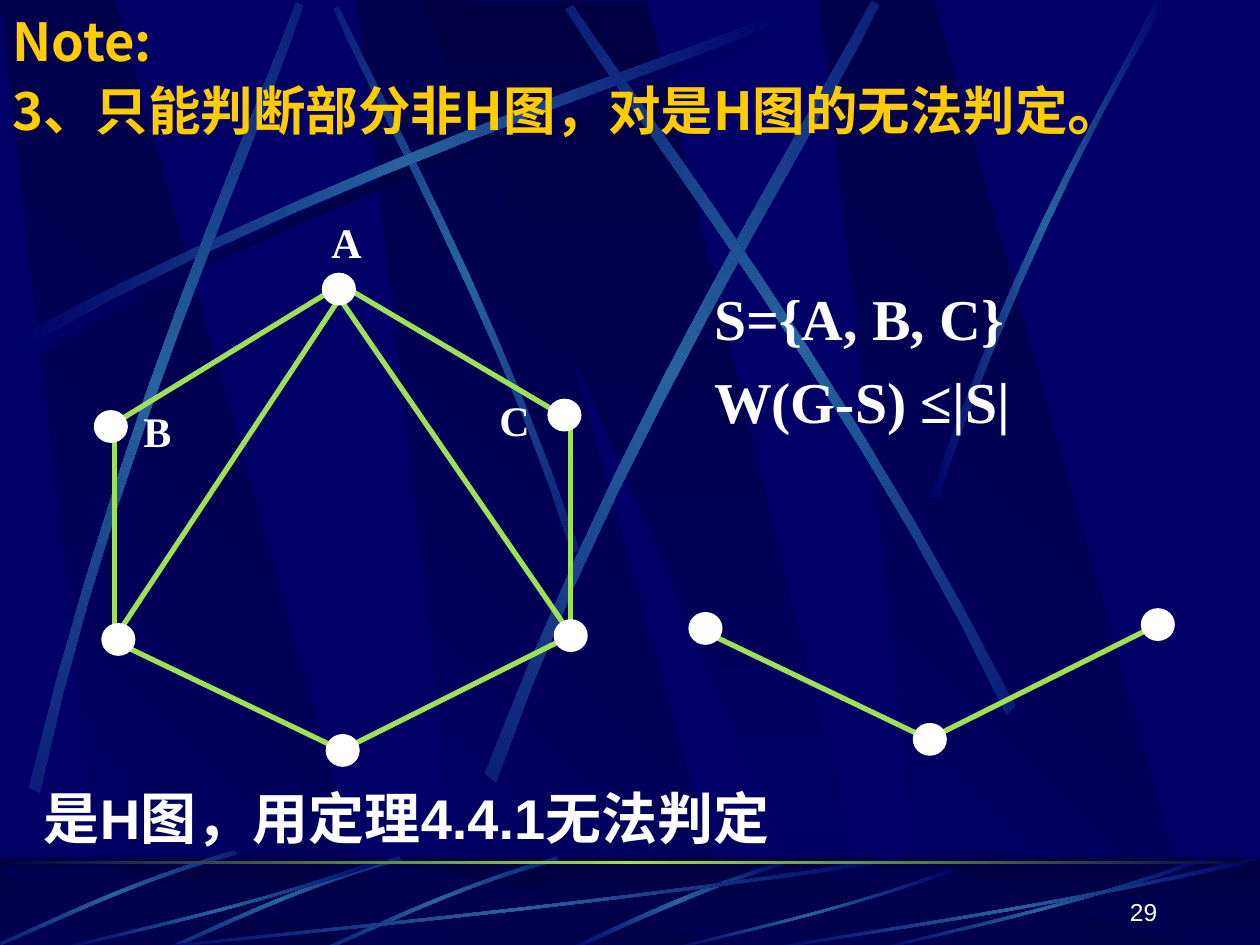
import math

import pptx
import pptx.dml.color
import pptx.enum.shapes
import pptx.enum.text
import pptx.oxml
import pptx.oxml.ns
import pptx.util
from lxml import etree

Pt = pptx.util.Pt
qn = pptx.oxml.ns.qn
SHAPE = pptx.enum.shapes.MSO_SHAPE
ALIGN = pptx.enum.text.PP_ALIGN
ANCHOR = pptx.enum.text.MSO_ANCHOR

NAVY, DARK, STREAK = "000066", "000044", "2663A0"
GREEN, WHITE, GOLD = "9CE157", "FFFFFF", "FFCC00"
SANS, SERIF, CHINESE = "Arial", "Times New Roman", "Noto Sans CJK SC"
GLOW = (NAVY, STREAK, NAVY)


def color(value):
    return pptx.dml.color.RGBColor.from_string(value)


def bezier(start, first, second, end, steps=10):
    points = []
    for step in range(steps + 1):
        t = step / steps
        weights = ((1 - t) ** 3, 3 * t * (1 - t) ** 2, 3 * t * t * (1 - t), t ** 3)
        points.append(tuple(sum(w * p[axis] for w, p in zip(weights, (start, first, second, end)))
                            for axis in (0, 1)))
    return points


def turn(point, center, degrees):
    angle = math.radians(degrees)
    x, y = point[0] - center[0], point[1] - center[1]
    return (center[0] + x * math.cos(angle) - y * math.sin(angle),
            center[1] + x * math.sin(angle) + y * math.cos(angle))


def shift(points, dx, dy):
    return [(x + dx, y + dy) for x, y in points]


class Painter:
    def __init__(self, page):
        self.page = page
        self.shapes = page.shapes

    def gradient(self, shape, colors, angle):
        shape.fill.background()
        old = shape._element.spPr.find(qn("a:noFill"))
        fill = etree.Element(qn("a:gradFill"), rotWithShape="1")
        stops = etree.SubElement(fill, qn("a:gsLst"))
        for index, value in enumerate(colors):
            stop = etree.SubElement(stops, qn("a:gs"), pos=str(100000 * index // (len(colors) - 1)))
            etree.SubElement(stop, qn("a:srgbClr"), val=value)
        etree.SubElement(fill, qn("a:lin"), ang=str(angle * 60000), scaled="0")
        old.getparent().replace(old, fill)

    def polygon(self, points, colors, angle=0):
        points = [(Pt(x), Pt(y)) for x, y in points]
        builder = self.shapes.build_freeform(*points[0], scale=1.0)
        builder.add_line_segments(points[1:], close=True)
        shape = builder.convert_to_shape()
        shape.shadow.inherit = False
        shape.line.fill.background()
        self.gradient(shape, colors, angle)
        return shape

    def streak(self, points, colors=GLOW, rotation=0, center=(0, 0)):
        """Draw the band between two curves, each given by four control points."""
        points = [turn(point, center, -rotation) for point in points]
        shape = self.polygon(bezier(*points[:4]) + bezier(*points[4:]), colors)
        shape.rotation = rotation

    def shape(self, kind, left, top, width, height):
        shape = self.shapes.add_shape(kind, Pt(left), Pt(top), Pt(width), Pt(height))
        shape.shadow.inherit = False
        shape.line.fill.background()
        return shape

    def band(self, top, height, colors, angle):
        self.gradient(self.shape(SHAPE.RECTANGLE, 0, top, 720, height), colors, angle)

    def veil(self, top, height, value, opacity):
        shape = self.shape(SHAPE.RECTANGLE, 0, top, 720, height)
        shape.fill.solid()
        shape.fill.fore_color.rgb = color(value)
        tint = shape._element.spPr.find(qn("a:solidFill"))[0]
        etree.SubElement(tint, qn("a:alpha"), val=str(opacity * 1000))

    def node(self, left, top):
        shape = self.shape(SHAPE.OVAL, left, top, 18.7, 18)
        shape.fill.solid()
        shape.fill.fore_color.rgb = color(WHITE)
        shape.line.color.rgb = color(WHITE)
        shape.line.width = Pt(0.75)

    def edge(self, start, end):
        line = self.shapes.add_connector(pptx.enum.shapes.MSO_CONNECTOR.STRAIGHT,
                                         Pt(start[0]), Pt(start[1]), Pt(end[0]), Pt(end[1]))
        line.line.color.rgb = color(GREEN)
        line.line.width = Pt(3)
        etree.SubElement(line._element.spPr, qn("a:effectLst"))

    def graph(self, edges, nodes, dx=0, dy=0):
        for ends in edges:
            self.edge(*shift(ends, dx, dy))
        for corner in shift(nodes, dx, dy):
            self.node(*corner)

    def text(self, left, top, width, height, paragraphs, ink=WHITE, bold=True,
             align=ALIGN.LEFT, anchor=ANCHOR.TOP, spacing=None):
        """Each paragraph is a list of (text, size, font) runs; None is a line break."""
        box = self.shapes.add_textbox(Pt(left), Pt(top), Pt(width), Pt(height))
        frame = box.text_frame
        frame.word_wrap = True
        frame.vertical_anchor = anchor
        for index, runs in enumerate(paragraphs):
            para = frame.add_paragraph() if index else frame.paragraphs[0]
            para.alignment = align
            para.line_spacing = spacing
            for run in runs:
                if run is None:
                    para.add_line_break()
                    continue
                span = para.add_run()
                span.text, size, font = run
                span.font.size = Pt(size)
                span.font.name = font
                span.font.bold = bold
                span.font.color.rgb = color(ink)
                etree.SubElement(span._r.get_or_add_rPr(), qn("a:ea"), typeface=CHINESE)


def draw_beams(painter, top, bottom):
    for left in (204, 0, 468):
        painter.polygon([(left + 62, bottom), (left + 217.4, bottom), (left + 65.5, top),
                         (left, top)], (NAVY, DARK), 315)
    painter.polygon([(240, top), (473.8, bottom), (499.7, bottom), (369.4, top)], (DARK, NAVY), 90)


def draw_backdrop(painter):
    # Upper beams and streaks
    draw_beams(painter, 0.5, 541)
    arc = [(14.4, 198), (204.5, 96.5), (377.3, 42.5), (450.7, 13),
           (452.9, 17.3), (380.2, 49.7), (182.9, 108.7), (16.6, 205.2)]
    painter.streak(arc, (NAVY, DARK, NAVY))
    painter.streak([(331.2, 313.9), (281.5, 168.5), (217.4, 55.4), (193.7, 3.6),
                    (190.8, 5), (212.4, 56.9), (286.6, 185.8), (326.9, 316.1)],
                   rotation=45, center=(260.6, 160.2))
    painter.streak(shift(arc, -4.3, -5.8))
    painter.streak([(16.6, 450), (67, 240.5), (141.8, 75.6), (169.2, 1.4),
                    (173.5, 2.9), (149, 78.5), (61.9, 265), (23, 452.9)],
                   rotation=311.7, center=(95.8, 227.2))
    painter.streak([(277.2, 442.1), (358.6, 230.4), (459.4, 73.4), (498.2, 0.7),
                    (502.6, 2.9), (467.3, 77.8), (349.9, 255.6), (283.7, 447.1)],
                   rotation=321.6, center=(391, 223.6))
    painter.streak([(580.3, 403.2), (482.4, 211), (371.5, 68.4), (327.6, 2.9),
                    (323.3, 5), (365, 72.7), (493.2, 234), (575.3, 408.2)],
                   rotation=34.7, center=(451.4, 205.6))
    painter.streak([(531.4, 283.7), (586.1, 124.6), (639.4, 47.5), (660.2, 0),
                    (667.4, 0), (601.9, 104.4), (553.7, 231.8), (535.7, 285.8)])

    # Floor
    painter.band(489.6, 54, (DARK, NAVY), 90)
    draw_beams(painter, 495.4, 543.3)
    painter.veil(489.6, 54, DARK, 50)
    painter.streak([(451.4, 491), (386.6, 510.5), (343.4, 534.2), (322.6, 542.9),
                    (326.2, 543.6), (352.8, 531.4), (411.1, 504), (452.2, 493.2)])
    ripple = [(318.2, 489.6), (255.6, 507.6), (206.6, 532.8), (184.3, 542.2),
              (185, 543.6), (207.4, 535), (262.8, 506.2), (319.7, 491.8)]
    for dx, dy in ((0, 0), (-90, 0), (-184, -3.5)):
        painter.streak(shift(ripple, dx, dy), rotation=315, center=(252 + dx, 516.6 + dy))
    sweep = [(1, 0.04), (0.57, 0.57), (0.17, 0.85), (0.01, 1),
             (0, 0.99), (0.17, 0.81), (0.62, 0.51), (0.99, 0)]
    for left, top, width in ((72, 489.6, 444), (30, 489.6, 192), (379.4, 496, 166.3),
                             (498, 489.6, 192), (432, 489.6, 288)):
        painter.streak([(left + x * width, top + y * (543.6 - top)) for x, y in sweep])
    painter.band(492.3, 1.7, (DARK, GREEN, DARK), 0)


def main():
    deck = pptx.Presentation()
    deck.slide_width, deck.slide_height = Pt(720), Pt(540)
    page = deck.slides.add_slide(deck.slide_layouts[6])
    page.background.fill.solid()
    page.background.fill.fore_color.rgb = color(NAVY)
    painter = Painter(page)
    draw_backdrop(painter)

    # Full graph, and the path left over at its foot
    path_edges = [((324, 364.3), (200.2, 426.2)), ((65.5, 366.5), (190, 426.2))]
    path_nodes = [(186.5, 419.8), (316.8, 354.2), (58.3, 356.4)]
    upper_edges = [((65.5, 240.5), (65.5, 366.5)), ((190, 165.6), (67.7, 240.5)),
                   ((195, 162.7), (321.8, 237.6)), ((192.2, 167.8), (324, 359.3)),
                   ((197.3, 165.6), (67.7, 361.4)), ((326.2, 234.7), (326.2, 360))]
    upper_nodes = [(313.2, 228.2), (184.3, 156.2), (54, 234.7)]
    painter.graph(path_edges + upper_edges, path_nodes + upper_nodes)
    for name, left, top in (("B", 72, 228), ("A", 180, 120), ("C", 276, 222)):
        painter.text(left, top, 36, 36, [[(name, 24, SERIF)]], align=ALIGN.CENTER)
    painter.graph(path_edges, path_nodes, 335.5, -6.3)

    # Title, formulas, conclusion and page number
    painter.text(0, 0, 708, 86.4, [[("Note:", 30, CHINESE), None,
                                    ("3、只能判断部分非H图，对是H图的无法判定", 30, CHINESE),
                                    ("。", 33, SANS)]], ink=GOLD, anchor=ANCHOR.MIDDLE)
    painter.text(401, 150, 199, 103, [[("S={A, B, C}", 33, SERIF)], [("W(G-S) ≤|S|", 33, SERIF)]],
                 spacing=1.2)
    painter.text(18, 444, 684, 78, [[("是H图，用定理4.4.1无法判定", 32, SANS)]])
    painter.text(518.4, 496.8, 150, 36, [[("29", 14, SANS)]], bold=False,
                 align=ALIGN.RIGHT, anchor=ANCHOR.BOTTOM)
    deck.save("out.pptx")


if __name__ == "__main__":
    main()
